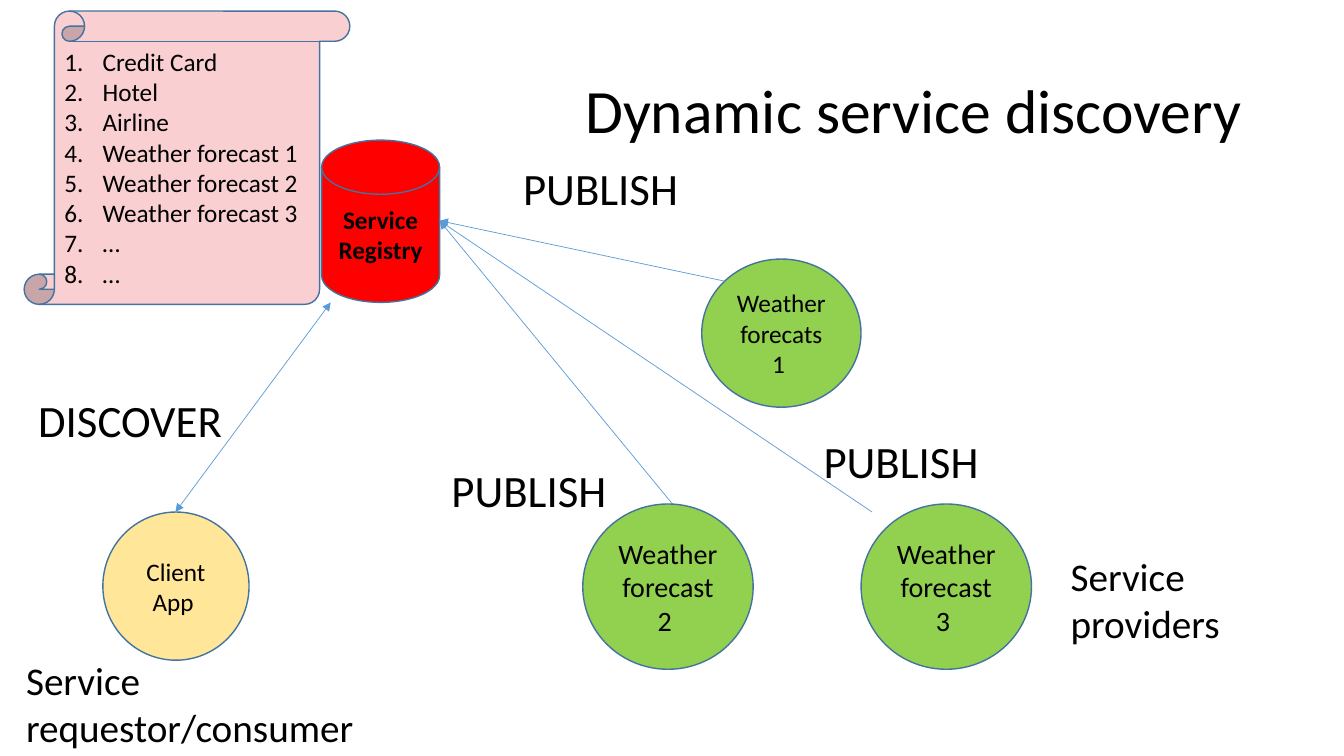
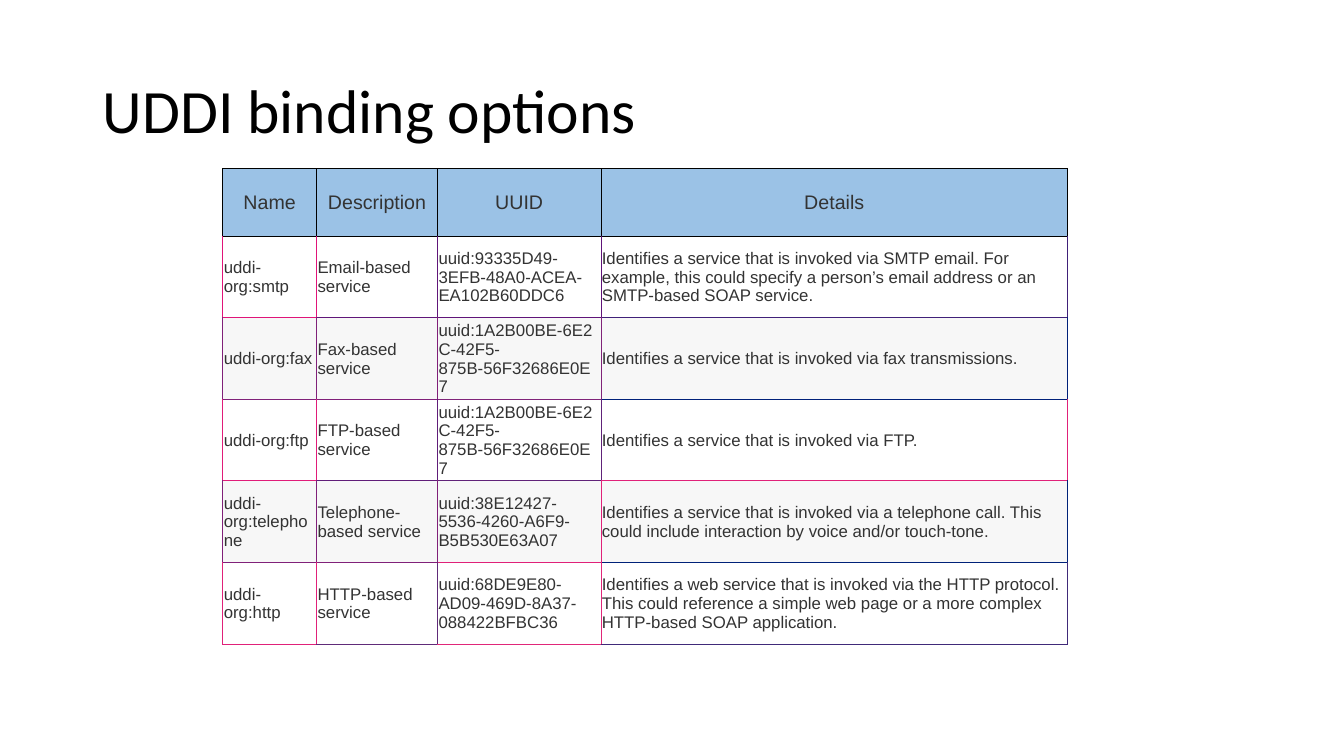
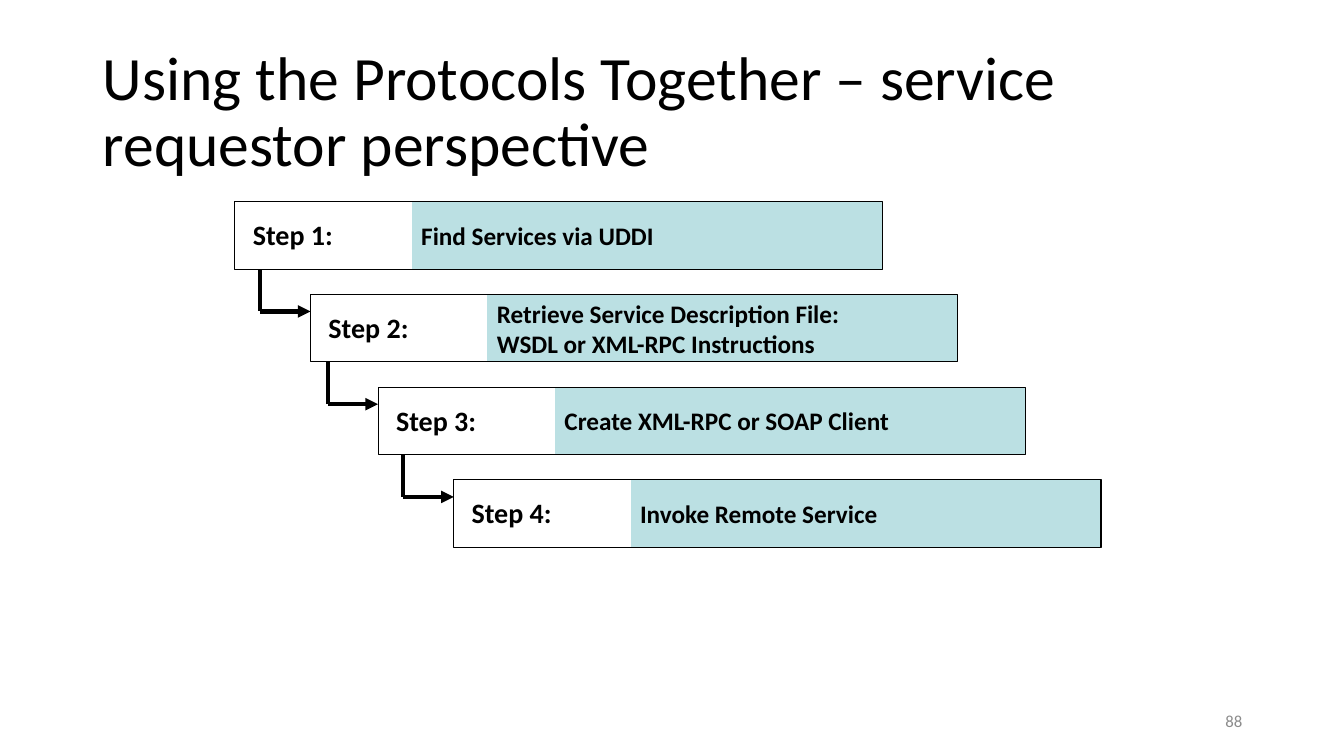
from lxml import etree
from pptx import Presentation
from pptx.dml.color import RGBColor
from pptx.enum import shapes, text
from pptx.oxml.ns import qn
from pptx.util import Inches, Pt

BLACK = RGBColor(0x00, 0x00, 0x00)
WHITE = RGBColor(0xFF, 0xFF, 0xFF)
GREY = RGBColor(0x8C, 0x8C, 0x8C)
DARK_GREY = RGBColor(0x33, 0x33, 0x33)
PALE_GREY = RGBColor(0xF7, 0xF7, 0xF7)
HEADER_BLUE = RGBColor(0x9B, 0xC2, 0xE6)
ARROW_BLUE = RGBColor(0x5B, 0x9B, 0xD5)
OUTLINE_BLUE = RGBColor(0x43, 0x73, 0x9E)
GREEN = RGBColor(0x92, 0xD0, 0x50)
RED = RGBColor(0xFF, 0x00, 0x00)
PINK = RGBColor(0xF9, 0xCF, 0xD2)
CREAM = RGBColor(0xFF, 0xE6, 0x99)
TEAL = RGBColor(0xBB, 0xE0, 0xE3)

FONT = "Calibri"
TABLE_FONT = "Arial"
SHAPE = shapes.MSO_SHAPE
LEFT, CENTER, RIGHT = text.PP_ALIGN.LEFT, text.PP_ALIGN.CENTER, text.PP_ALIGN.RIGHT
TOP, MIDDLE = text.MSO_ANCHOR.TOP, text.MSO_ANCHOR.MIDDLE

SERVICES = ["Credit Card", "Hotel", "Airline", "Weather forecast 1",
            "Weather forecast 2", "Weather forecast 3", "…", "…"]

BINDING_HEADER = ["Name", "Description", "UUID", "Details"]
BINDINGS = [
    ["uddi-org:smtp", "Email-based service",
     "uuid:93335D49-3EFB-48A0-ACEA-EA102B60DDC6",
     "Identifies a service that is invoked via SMTP email. For example, this could "
     "specify a person’s email address or an SMTP-based SOAP service."],
    ["uddi-org:fax", "Fax-based service",
     "uuid:1A2B00BE-6E2C-42F5-875B-56F32686E0E7",
     "Identifies a service that is invoked via fax transmissions."],
    ["uddi-org:ftp", "FTP-based service",
     "uuid:1A2B00BE-6E2C-42F5-875B-56F32686E0E7",
     "Identifies a service that is invoked via FTP."],
    ["uddi-org:telephone", "Telephone-based service",
     "uuid:38E12427-5536-4260-A6F9-B5B530E63A07",
     "Identifies a service that is invoked via a telephone call. This could include "
     "interaction by voice and/or touch-tone."],
    ["uddi-org:http", "HTTP-based service",
     "uuid:68DE9E80-AD09-469D-8A37-088422BFBC36",
     "Identifies a web service that is invoked via the HTTP protocol. This could "
     "reference a simple web page or a more complex HTTP-based SOAP application."],
]
# Colour of each cell's right and bottom edges
EDGES = [
    ["000000"] * 4,
    ["E01479", "601679", "601479", "402079"],
    ["802179", "801F79", "802379", "002079"],
    ["E01C79", "601D79", "602279", "E02179"],
    ["802079", "802079", "E02179", "002279"],
    ["E02179", "602B79", "E02779", "402A79"],
]

STEPS = [
    (2.33, "Find Services via UDDI"),
    (3.08, "Retrieve Service Description File:\nWSDL or XML-RPC Instructions"),
    (3.75, "Create XML-RPC or SOAP Client"),
    (4.5, "Invoke Remote Service"),
]


def write(tf, content, size, color=BLACK, bold=False, align=LEFT, anchor=TOP,
          wrap=True, font=FONT):
    """Fill a text frame; each line of content is a paragraph."""
    tf.text = content
    tf.word_wrap = wrap
    tf.vertical_anchor = anchor
    for p in tf.paragraphs:
        p.alignment = align
        for r in p.runs:
            r.font.name, r.font.size = font, Pt(size)
            r.font.bold, r.font.color.rgb = bold, color


def add_title_slide(prs, title, align=LEFT):
    s = prs.slides.add_slide(prs.slide_layouts[5])
    sp = s.shapes.title
    sp.left, sp.top, sp.width, sp.height = map(Inches, (0.92, 0.4, 11.5, 1.45))
    write(sp.text_frame, title, 44, align=align, anchor=MIDDLE)
    sp.text_frame.auto_size = text.MSO_AUTO_SIZE.NONE
    sp.text_frame.paragraphs[0].line_spacing = 0.9
    return s


def add_label(s, box, content, size, **style):
    sp = s.shapes.add_textbox(*map(Inches, box))
    write(sp.text_frame, content, size, **style)


def add_box(s, kind, box, fill, line, width):
    sp = s.shapes.add_shape(kind, *map(Inches, box))
    sp.shadow.inherit = False
    if fill is None:
        sp.fill.background()
    else:
        sp.fill.solid()
        sp.fill.fore_color.rgb = fill
    sp.line.color.rgb = line
    sp.line.width = Pt(width)
    return sp


def add_line(s, start, end, color, width, ends=()):
    """Draw a straight line; ends lists the ends (headEnd, tailEnd) with arrows."""
    c = s.shapes.add_connector(shapes.MSO_CONNECTOR.STRAIGHT,
                               *map(Inches, (*start, *end)))
    c.line.color.rgb = color
    c.line.width = Pt(width)
    sp_pr = c._element.spPr
    for end_tag in ends:
        etree.SubElement(sp_pr.find(qn("a:ln")), qn("a:" + end_tag), type="triangle")
    etree.SubElement(sp_pr, qn("a:effectLst"))


def add_node(s, kind, box, content, fill, size=18, bold=False):
    sp = add_box(s, kind, box, fill, OUTLINE_BLUE, 1)
    write(sp.text_frame, content, size, bold=bold, align=CENTER, anchor=MIDDLE)


def add_service_scroll(s, box):
    sp = add_box(s, SHAPE.VERTICAL_SCROLL, box, PINK, OUTLINE_BLUE, 1)
    sp.adjustments[0] = 0.103
    write(sp.text_frame, "\n".join(SERVICES), 18)
    for p in sp.text_frame.paragraphs:
        p_pr = p._p.get_or_add_pPr()
        p_pr.set("marL", str(Inches(0.38)))
        p_pr.set("indent", str(-Inches(0.38)))
        etree.SubElement(p_pr, qn("a:buFont"), typeface="+mj-lt")
        etree.SubElement(p_pr, qn("a:buAutoNum"), type="arabicPeriod")


def discovery_slide(prs):
    s = add_title_slide(prs, "Dynamic service discovery", RIGHT)
    circle = SHAPE.FLOWCHART_CONNECTOR
    add_node(s, circle, (6.96, 2.57, 1.58, 1.47), "Weather forecats1 ", GREEN)
    add_node(s, SHAPE.FLOWCHART_MAGNETIC_DISK, (3.19, 1.39, 1.17, 1.61),
             "Service Registry", RED, bold=True)
    for provider in ((7.19, 2.79), (6.67, 5), (8.65, 5.08)):
        add_line(s, provider, (4.36, 2.19), ARROW_BLUE, 0.5, ["tailEnd"])
    add_service_scroll(s, (0.24, 0.11, 3.23, 2.91))
    for left, top in ((5.09, 1.55), (8.07, 4.25), (4.38, 4.54)):
        add_label(s, (left, top, 1.94, 0.64), "PUBLISH", 32)
    add_label(s, (10.52, 5.43, 2.53, 1.04), "Service providers", 28)
    add_node(s, circle, (1.02, 5.08, 1.45, 1.47), "Client App ", CREAM)
    add_label(s, (0.28, 3.85, 2.19, 0.64), "DISCOVER", 32)
    add_line(s, (1.74, 5.08), (3.28, 3), ARROW_BLUE, 0.5, ["headEnd", "tailEnd"])
    add_label(s, (0.16, 6.46, 3.86, 1.04), "Service requestor/consumer", 28)
    for left, number in ((8.54, 3), (5.78, 2)):
        add_node(s, circle, (left, 5, 1.69, 1.64),
                 f"Weather forecast\n{number} ", GREEN, size=20)


def set_borders(cell, **colors):
    tc_pr = cell._tc.get_or_add_tcPr()
    for side in "LRTB":
        ln = etree.SubElement(tc_pr, qn("a:ln" + side), w=str(Pt(0.5)))
        fill = etree.SubElement(ln, qn("a:solidFill"))
        etree.SubElement(fill, qn("a:srgbClr"), val=colors[side])


def add_binding_table(s, left, top):
    widths, heights = [0.93, 1.2, 1.62, 4.63], [0.67] + [0.81] * 5
    rows = [BINDING_HEADER] + BINDINGS
    table = s.shapes.add_table(len(rows), len(widths), *map(
        Inches, (left, top, sum(widths), sum(heights)))).table
    for column, width in zip(table.columns, widths):
        column.width = Inches(width)
    for i, row in enumerate(rows):
        table.rows[i].height = Inches(heights[i])
        header = i == 0
        fill = HEADER_BLUE if header else (WHITE if i % 2 else PALE_GREY)
        for j, content in enumerate(row):
            cell = table.cell(i, j)
            edge = EDGES[i][j]
            set_borders(cell, L=EDGES[i][max(j - 1, 0)], R=edge,
                        T=EDGES[max(i - 1, 0)][j], B=edge)
            cell.fill.solid()
            cell.fill.fore_color.rgb = fill
            cell.margin_left = cell.margin_right = cell.margin_top = Inches(0.01)
            cell.margin_bottom = 0
            write(cell.text_frame, content, 14 if header else 12, DARK_GREY,
                  align=CENTER if header else LEFT, font=TABLE_FONT)
            cell.vertical_anchor = MIDDLE


def binding_slide(prs):
    s = add_title_slide(prs, "UDDI binding options")
    add_binding_table(s, 2.21, 1.67)


def add_step(s, left, top, height, number, content):
    panel = add_box(s, SHAPE.RECTANGLE, (left + 1.75, top, 4.67, height),
                    TEAL, WHITE, 0.75)
    write(panel.text_frame, content, 18, bold=True, anchor=MIDDLE, wrap=False)
    add_label(s, (left + 0.08, top + 0.11, 1, 0.44), f"Step {number}:", 20,
              bold=True, wrap=False)
    add_box(s, SHAPE.RECTANGLE, (left, top, 6.42, height), None, BLACK, 0.75)


def add_step_arrow(s, start_y, left, top):
    """Lead from the step above, down and right, into the box at left, top."""
    corner = (left - 0.5, top + 0.17)
    add_line(s, corner, (left, corner[1]), BLACK, 3, ["tailEnd"])
    add_line(s, (corner[0], start_y), corner, BLACK, 3)


def protocols_slide(prs):
    s = add_title_slide(
        prs, "Using the Protocols Together – service requestor perspective")
    first_top, height, gap = 2, 0.67, 0.25
    for i, (left, content) in enumerate(STEPS):
        top = first_top + i * (height + gap)
        add_step(s, left, top, height, i + 1, content)
        if i:
            add_step_arrow(s, top - gap, left, top)
    add_label(s, (9.42, 6.95, 3, 0.4), "88", 12, color=GREY, align=RIGHT, anchor=MIDDLE)


def main():
    prs = Presentation()
    prs.slide_width, prs.slide_height = Inches(13.33), Inches(7.5)
    discovery_slide(prs)
    binding_slide(prs)
    protocols_slide(prs)
    prs.save("out.pptx")


if __name__ == "__main__":
    main()
